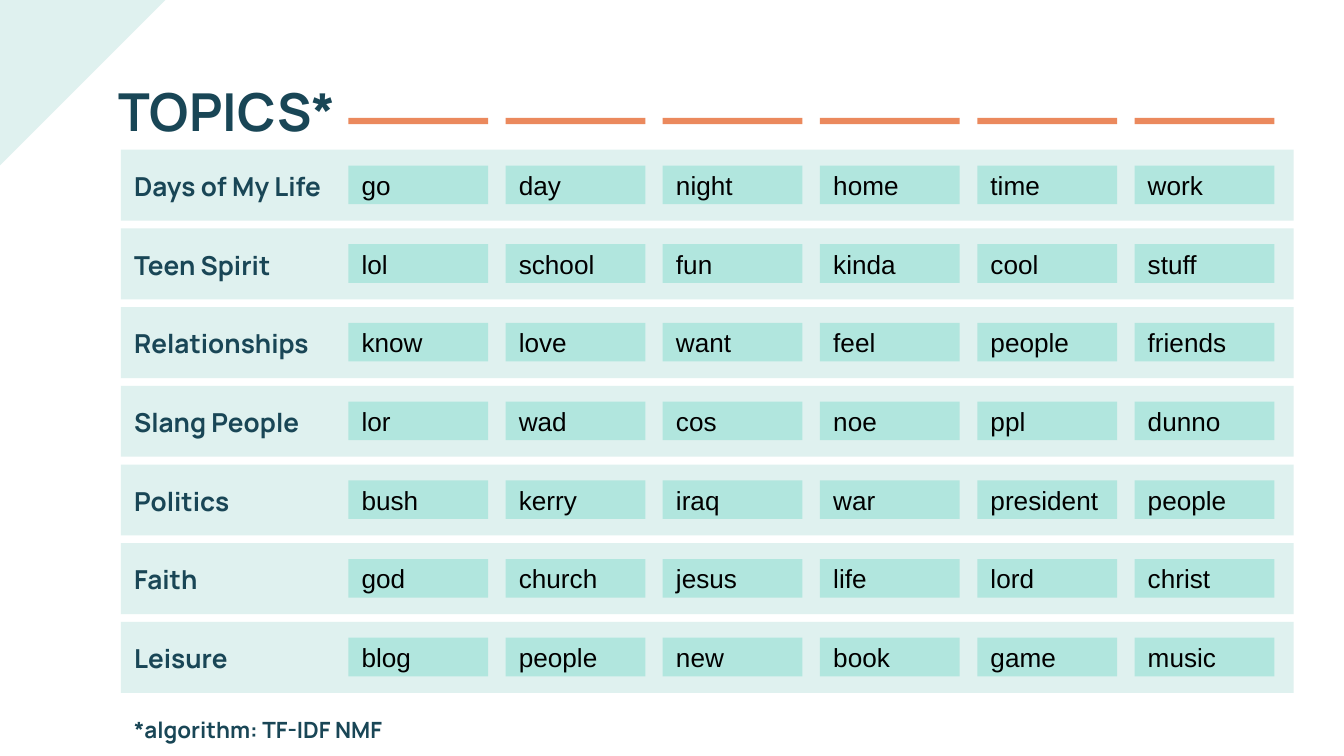
import dataclasses

import pptx
import pptx.dml.color
import pptx.enum.shapes
import pptx.enum.text
import pptx.util

Pt = pptx.util.Pt
RGB = pptx.dml.color.RGBColor.from_string
SHAPE = pptx.enum.shapes.MSO_SHAPE
ANCHOR = pptx.enum.text.MSO_ANCHOR
ALIGN = pptx.enum.text.PP_ALIGN
FIT = pptx.enum.text.MSO_AUTO_SIZE


@dataclasses.dataclass(frozen=True)
class Theme:
    navy: str = "194656"
    black: str = "000000"
    pale: str = "DFF1EF"
    mint: str = "B1E6DE"
    coral: str = "EB895D"
    head: str = "Manrope"
    body: str = "Arial"
    title: int = 28
    text: int = 14
    note: int = 12


THEME = Theme()
INSET = 7.2
COLS = 6
STEP, CELL = 84.24, 74.9  # column pitch and cell width
TOPICS = [
    ("Days of My Life", ["go", "day", "night", "home", "time", "work"]),
    ("Teen Spirit", ["lol", "school", "fun", "kinda", "cool", "stuff"]),
    ("Relationships", ["know", "love", "want", "feel", "people", "friends"]),
    ("Slang People", ["lor", "wad", "cos", "noe", "ppl", "dunno"]),
    ("Politics", ["bush", "kerry", "iraq", "war", "president", "people"]),
    ("Faith", ["god", "church", "jesus", "life", "lord", "christ"]),
    ("Leisure", ["blog", "people", "new", "book", "game", "music"]),
]


def block(slide, box, fill, kind=SHAPE.RECTANGLE):
    """Add a flat shape without outline or shadow."""
    shape = slide.shapes.add_shape(kind, *map(Pt, box))
    shape.shadow.inherit = False
    shape.fill.solid()
    shape.fill.fore_color.rgb = RGB(fill)
    shape.line.fill.background()
    return shape


def write(shape, text, size, face, color, bold=False, anchor=ANCHOR.MIDDLE):
    frame = shape.text_frame
    frame.text = text
    frame.word_wrap = True
    frame.auto_size = FIT.NONE
    frame.vertical_anchor = anchor
    frame.margin_left = frame.margin_right = Pt(INSET)
    frame.margin_top = frame.margin_bottom = Pt(INSET)
    para = frame.paragraphs[0]
    para.alignment = ALIGN.LEFT
    para.font.size = Pt(size)
    para.font.name = face
    para.font.bold = bold
    para.font.color.rgb = RGB(color)


def label(slide, box, text, size, anchor=ANCHOR.MIDDLE):
    shape = slide.shapes.add_textbox(*map(Pt, box))
    write(shape, text, size, THEME.head, THEME.navy, True, anchor)


def header(slide, box, text):
    title = slide.shapes.title
    title.left, title.top, title.width, title.height = map(Pt, box)
    write(title, text, THEME.title, THEME.head, THEME.navy, True, ANCHOR.TOP)


def rules(slide, box):
    """Draw one coloured bar above each word column."""
    left, top, _, height = box
    for col in range(COLS):
        block(slide, (left + col * STEP, top, CELL, height), THEME.coral)


def topic(slide, box, name, words):
    """Draw a band with its topic name and its words."""
    left, top, _, height = box
    block(slide, box, THEME.pale)
    label(slide, (left, top + 5, 122, height - 9.2), name, THEME.text)
    for col, word in enumerate(words):
        spot = (left + 121.8 + col * STEP, top + 8.5, CELL, 20.7)
        cell = block(slide, spot, THEME.mint)
        write(cell, word, THEME.text, THEME.body, THEME.black)


def grid(slide, box):
    left, top, width, height = box
    band = 38
    pitch = (height - band) / (len(TOPICS) - 1)
    for row, (name, words) in enumerate(TOPICS):
        topic(slide, (left, top + row * pitch, width, band), name, words)


def main():
    deck = pptx.Presentation()
    deck.slide_width, deck.slide_height = Pt(720), Pt(405)
    slide = deck.slides.add_slide(deck.slide_layouts[5])
    corner = block(slide, (0, 0, 88.6, 88.6), THEME.pale, SHAPE.RIGHT_TRIANGLE)
    corner.rotation = 90
    header(slide, (56.2, 35.3, 608.4, 45.4), "TOPICS*")
    rules(slide, (186.6, 63.2, 496, 3.3))
    grid(slide, (64.8, 80.2, 628.2, 291))
    label(slide, (64.8, 376.6, 247.7, 22.3), "*algorithm: TF-IDF NMF",
          THEME.note, ANCHOR.TOP)
    deck.save("out.pptx")


if __name__ == "__main__":
    main()
